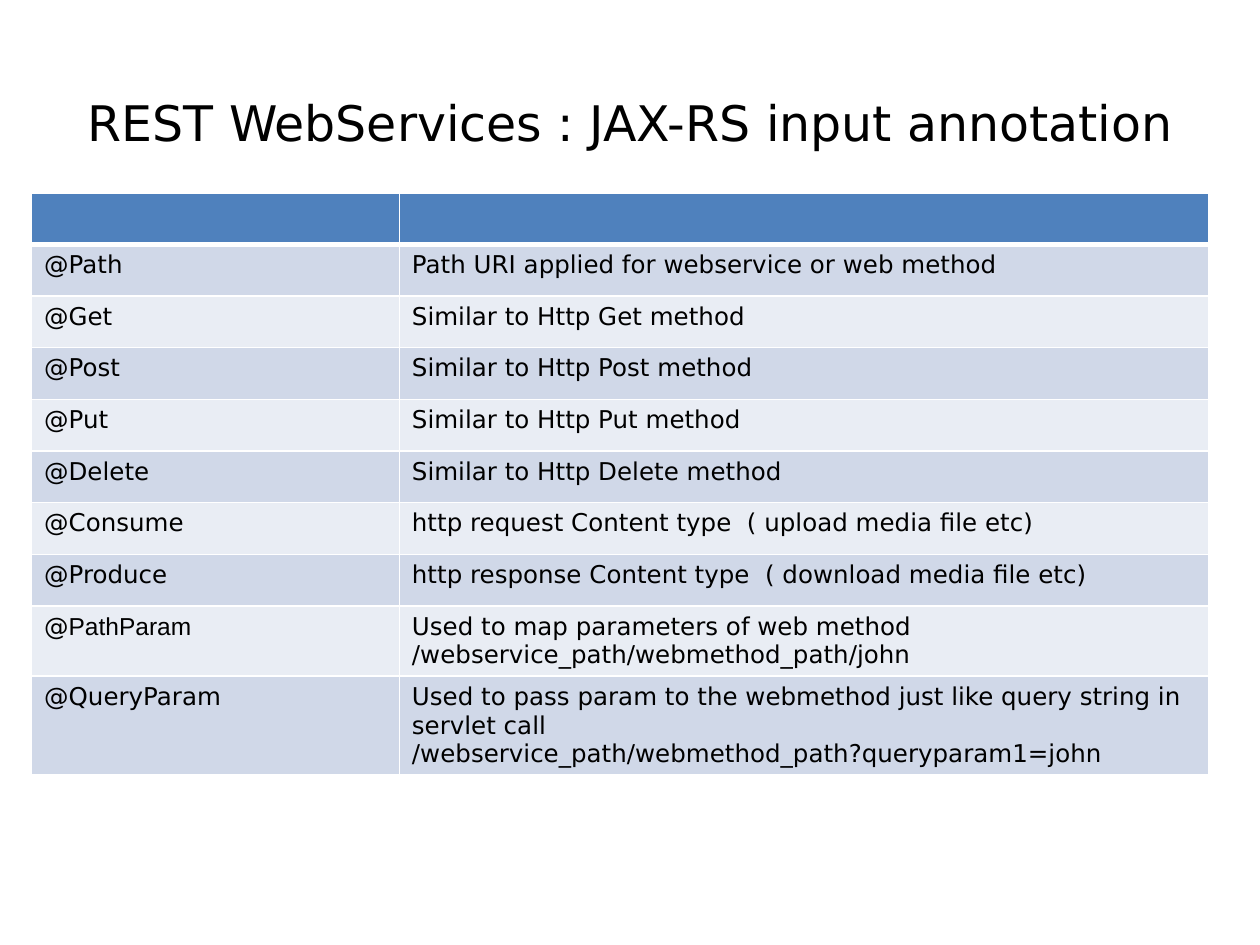
from lxml.etree import SubElement
from pptx import Presentation
from pptx.dml.color import RGBColor
from pptx.enum.text import MSO_ANCHOR, PP_ALIGN
from pptx.oxml.ns import qn
from pptx.util import Inches, Pt

FONT = "DejaVu Sans"
HEADER_FILL = "4F81BD"
BAND_FILLS = ("D0D8E8", "E9EDF4")
COLUMN_WIDTHS = (2.92, 6.42)
ROW_HEIGHTS = [0.41] * 8 + [0.55, 0.78]

ANNOTATIONS = [
    ("@Path", ["Path URI applied for webservice or web method"]),
    ("@Get", ["Similar to Http Get method"]),
    ("@Post", ["Similar to Http Post method"]),
    ("@Put", ["Similar to Http Put method"]),
    ("@Delete", ["Similar to Http Delete method"]),
    ("@Consume", ["http request Content type  ( upload media file etc)"]),
    ("@Produce", ["http response Content type  ( download media file etc)"]),
    ("@PathParam", ["Used to map parameters of web method",
                    "/webservice_path/webmethod_path/john"]),
    ("@QueryParam", ["Used to pass param to the webmethod just like query "
                     "string in servlet call",
                     "/webservice_path/webmethod_path?queryparam1=john"]),
]


def rgb(value):
    return RGBColor.from_string(value)


def write(paragraph, text, size=14, font=FONT, color="000000", align=None):
    if align is not None:
        paragraph.alignment = align
    run = paragraph.add_run()
    run.text = text
    run.font.size = Pt(size)
    run.font.name = font
    run.font.color.rgb = rgb(color)


def set_borders(cell, top=1, bottom=1):
    properties = cell._tc.get_or_add_tcPr()
    sides = (("lnL", 1), ("lnR", 1), ("lnT", top), ("lnB", bottom))
    for position, (side, width) in enumerate(sides):
        border = SubElement(properties, qn(f"a:{side}"), w=str(Pt(width)))
        fill = SubElement(border, qn("a:solidFill"))
        SubElement(fill, qn("a:srgbClr"), val="FFFFFF")
        properties.insert(position, border)


def style_cell(cell, fill, **borders):
    cell.fill.solid()
    cell.fill.fore_color.rgb = rgb(fill)
    set_borders(cell, **borders)


def add_title(slide, text):
    frame = slide.shapes.add_textbox(
        Inches(0.5), Inches(0.58), Inches(9), Inches(0.78)).text_frame
    frame.word_wrap = True
    frame.vertical_anchor = MSO_ANCHOR.MIDDLE
    write(frame.paragraphs[0], text, size=28, align=PP_ALIGN.CENTER)


def fill_annotation(cell, annotation):
    paragraph = cell.text_frame.paragraphs[0]
    if annotation == "@PathParam":
        write(paragraph, "@")
        write(paragraph, annotation[1:], font="Arial")
    else:
        write(paragraph, annotation)


def fill_description(cell, lines):
    frame = cell.text_frame
    for number, line in enumerate(lines):
        write(frame.add_paragraph() if number else frame.paragraphs[0], line)


def add_annotation_table(slide):
    table = slide.shapes.add_table(
        len(ROW_HEIGHTS), len(COLUMN_WIDTHS), Inches(0.25), Inches(1.53),
        Inches(sum(COLUMN_WIDTHS)), Inches(sum(ROW_HEIGHTS))).table
    for column, width in zip(table.columns, COLUMN_WIDTHS):
        column.width = Inches(width)
    for row, height in zip(table.rows, ROW_HEIGHTS):
        row.height = Inches(height)
    for cell in table.rows[0].cells:
        style_cell(cell, HEADER_FILL, bottom=3)
    for number, (annotation, lines) in enumerate(ANNOTATIONS, start=1):
        name_cell, description_cell = table.rows[number].cells
        for cell in (name_cell, description_cell):
            style_cell(cell, BAND_FILLS[(number - 1) % 2],
                       top=3 if number == 1 else 1)
        fill_annotation(name_cell, annotation)
        fill_description(description_cell, lines)


def main():
    presentation = Presentation()
    presentation.slide_width = Inches(10)
    presentation.slide_height = Inches(7.5)
    slide = presentation.slides.add_slide(presentation.slide_layouts[6])
    add_annotation_table(slide)
    add_title(slide, "REST WebServices : JAX-RS input annotation")
    presentation.save("out.pptx")


main()
